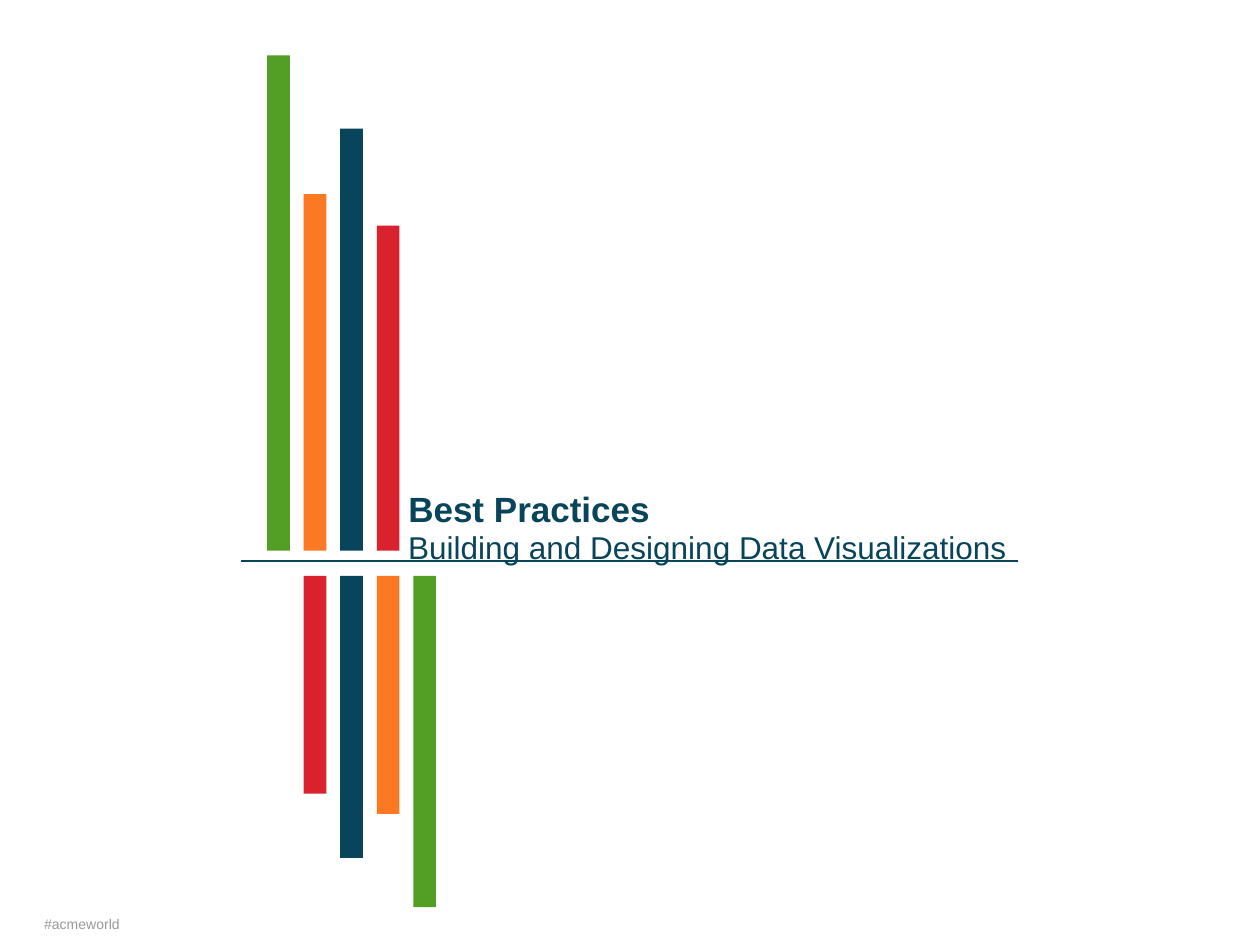
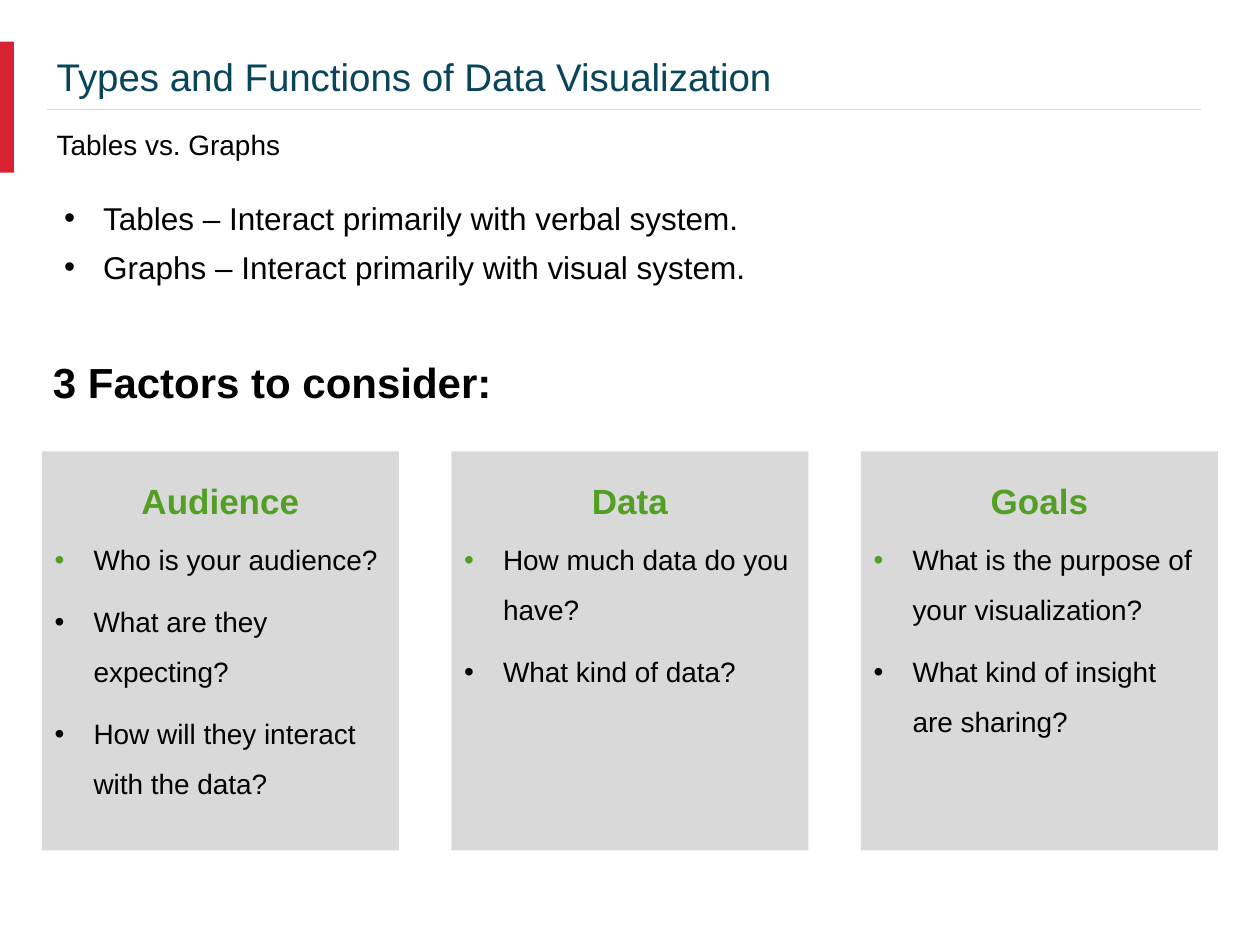
from dataclasses import dataclass
from typing import NamedTuple

from lxml.etree import SubElement
from pptx import Presentation
from pptx.dml.color import RGBColor
from pptx.enum.shapes import MSO_CONNECTOR, MSO_SHAPE
from pptx.enum.text import MSO_ANCHOR, MSO_AUTO_SIZE, PP_ALIGN
from pptx.oxml.ns import qn
from pptx.util import Inches, Pt

WIDE, HIGH = Inches(10), Inches(7.5)
COLS, ROWS = 100, 75

GREEN = RGBColor(0x53, 0x9F, 0x25)
ORANGE = RGBColor(0xFC, 0x79, 0x23)
NAVY = RGBColor(0x08, 0x44, 0x5A)
RED = RGBColor(0xD9, 0x22, 0x2D)
ACCENT = RGBColor(0xD9, 0x22, 0x33)
SILVER = RGBColor(0xD9, 0xD9, 0xD9)
GRAY = RGBColor(0x99, 0x99, 0x99)
BLACK = RGBColor(0, 0, 0)
FONT = "Arial"


def across(cols: float) -> int:
    return round(WIDE * cols / COLS)


def down(rows: float) -> int:
    return round(HIGH * rows / ROWS)


class Box(NamedTuple):
    """A place on the slide, in grid columns and rows."""
    left: float
    top: float
    width: float
    height: float

    def place(self) -> tuple:
        return (across(self.left), down(self.top),
                across(self.width), down(self.height))


@dataclass(frozen=True)
class Style:
    size: float
    color: RGBColor = BLACK
    bold: bool = False


@dataclass(frozen=True)
class Bar:
    slot: int
    color: RGBColor
    length: float


@dataclass(frozen=True)
class Card:
    head: str
    points: tuple


UPPER = (Bar(0, GREEN, 39.3), Bar(1, ORANGE, 28.3),
         Bar(2, NAVY, 33.5), Bar(3, RED, 25.8))
LOWER = (Bar(1, RED, 17.3), Bar(2, NAVY, 22.4),
         Bar(3, ORANGE, 18.9), Bar(4, GREEN, 26.3))
BAR_LEFT, BAR_STEP, BAR_WIDTH = 21.2, 2.9, 1.8
UPPER_BASE, LOWER_BASE = 43.7, 45.7

CARDS = (
    Card("Audience", ("Who is your audience?", "What are they expecting?",
                      "How will they interact with the data?")),
    Card("Data", ("How much data do you have?", "What kind of data?")),
    Card("Goals", ("What is the purpose of your visualization?",
                   "What kind of insight\vare sharing?")),
)
FIRST_CARD = Box(3.33, 35.83, 28.33, 31.67)
CARD_STEP = 32.5

BODY = Style(16)
POINT = Style(18)


def style_line(line, style: Style) -> None:
    for run in line.runs:
        run.font.name = FONT
        run.font.size = Pt(style.size)
        run.font.bold = style.bold
        run.font.color.rgb = style.color


def set_frame(frame, wrap: bool = False) -> None:
    frame.auto_size = MSO_AUTO_SIZE.NONE
    frame.word_wrap = wrap
    frame.vertical_anchor = MSO_ANCHOR.TOP
    frame.margin_left = frame.margin_right = 0
    frame.margin_top = frame.margin_bottom = 0


def add_bullet(line, indent: float, hang: float, color: RGBColor) -> None:
    props = line._p.get_or_add_pPr()
    props.set("marL", str(across(indent)))
    props.set("indent", str(-across(hang)))
    tint = SubElement(props, qn("a:buClr"))
    SubElement(tint, qn("a:srgbClr")).set("val", str(color))
    SubElement(props, qn("a:buFont")).set("typeface", FONT)
    SubElement(props, qn("a:buChar")).set("char", "•")


def fill_text(shape, text: str, style: Style) -> None:
    frame = shape.text_frame
    frame.text = text
    set_frame(frame)
    for line in frame.paragraphs:
        line.alignment = PP_ALIGN.LEFT
        style_line(line, style)


def add_text(slide, box: Box, text: str, style: Style):
    shape = slide.shapes.add_textbox(*box.place())
    fill_text(shape, text, style)
    return shape


def add_title(slide, box: Box, text: str, style: Style) -> None:
    title = slide.shapes.title
    title.left, title.top, title.width, title.height = box.place()
    fill_text(title, text, style)


def add_block(slide, box: Box, color: RGBColor):
    block = slide.shapes.add_shape(MSO_SHAPE.RECTANGLE, *box.place())
    block.shadow.inherit = False
    block.fill.solid()
    block.fill.fore_color.rgb = color
    block.line.fill.background()
    return block


def add_rule(slide, left: float, right: float, row: float,
             color: RGBColor, weight: float) -> None:
    rule = slide.shapes.add_connector(MSO_CONNECTOR.STRAIGHT, across(left),
                                      down(row), across(right), down(row))
    rule.line.color.rgb = color
    rule.line.width = Pt(weight)
    SubElement(rule._element.spPr, qn("a:effectLst"))


def add_bar(slide, bar: Bar, top: float) -> None:
    left = BAR_LEFT + BAR_STEP * bar.slot
    add_block(slide, Box(left, top, BAR_WIDTH, bar.length), bar.color)


def add_card(slide, card: Card, box: Box) -> None:
    frame = add_block(slide, box, SILVER).text_frame
    set_frame(frame, wrap=True)
    frame.margin_top = down(2.2)
    head = frame.paragraphs[0]
    head.text = card.head
    head.alignment = PP_ALIGN.CENTER
    style_line(head, Style(20, GREEN, True))
    for rank, point in enumerate(card.points):
        line = frame.add_paragraph()
        line.text = point
        line.alignment = PP_ALIGN.LEFT
        add_bullet(line, 4.1, 3.1, BLACK if rank else GREEN)
        line.line_spacing = Pt(28.6)
        line.space_before = Pt(6.8 if rank else 3)
        style_line(line, BODY)


def build_cover(slide) -> None:
    for bar in UPPER:
        add_bar(slide, bar, UPPER_BASE - bar.length)
    for bar in LOWER:
        add_bar(slide, bar, LOWER_BASE)
    add_title(slide, Box(32.4, 38.7, 50, 3.1), "Best Practices",
              Style(20, NAVY, True))
    add_text(slide, Box(32.4, 41.9, 50, 2.8),
             "Building and Designing Data Visualizations", Style(18, NAVY))
    add_rule(slide, 19.1, 80.8, 44.5, NAVY, 1.25)
    add_text(slide, Box(3.5, 72.7, 10, 1.4), "#acmeworld", Style(8, GRAY))


def build_types(slide) -> None:
    add_rule(slide, 3.7, 95.3, 8.7, SILVER, 0.5)
    add_block(slide, Box(0, 3.3, 1.1, 10.4), ACCENT)
    add_title(slide, Box(4.5, 4.2, 80, 3.4),
              "Types and Functions of Data Visualization", Style(22, NAVY))
    add_text(slide, Box(4.5, 10.1, 40, 2.5), "Tables vs. Graphs", BODY)
    points = add_text(slide, Box(5.1, 15.8, 70, 7),
                      "Tables – Interact primarily with verbal system.\n"
                      "Graphs – Interact primarily with visual system.", POINT)
    for rank, line in enumerate(points.text_frame.paragraphs):
        add_bullet(line, 3.1, 3.1, BLACK)
        if rank:
            line.space_before = Pt(6.5)
    add_text(slide, Box(4.2, 28.3, 60, 3.7), "3 Factors to consider:",
             Style(24, bold=True))
    for rank, card in enumerate(CARDS):
        left = FIRST_CARD.left + CARD_STEP * rank
        add_card(slide, card, FIRST_CARD._replace(left=left))


def main() -> None:
    deck = Presentation()
    deck.slide_width, deck.slide_height = WIDE, HIGH
    layout = deck.slide_layouts.get_by_name("Title Only")
    for build in (build_cover, build_types):
        build(deck.slides.add_slide(layout))
    deck.save("out.pptx")


if __name__ == "__main__":
    main()
